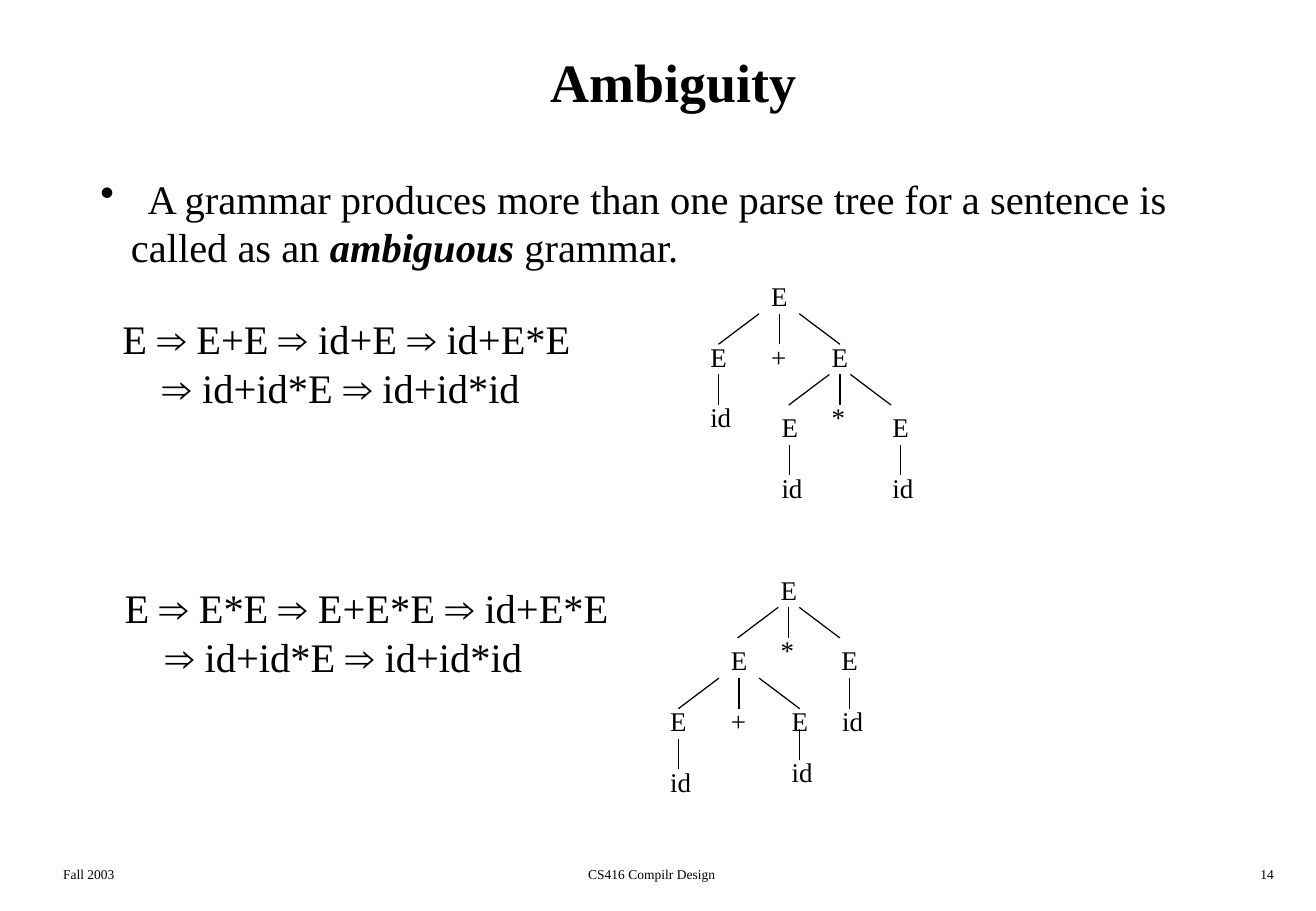
from dataclasses import dataclass
from itertools import groupby
from typing import Any, Sequence

from lxml.etree import SubElement
from pptx import Presentation
from pptx.dml.color import RGBColor
from pptx.enum.shapes import MSO_CONNECTOR
from pptx.enum.text import MSO_ANCHOR, MSO_AUTO_SIZE, PP_ALIGN
from pptx.oxml.ns import qn
from pptx.util import Cm, Pt

STRAIGHT = MSO_CONNECTOR.STRAIGHT
TOP, MIDDLE = MSO_ANCHOR.TOP, MSO_ANCHOR.MIDDLE
NO_FIT, GROW = MSO_AUTO_SIZE.NONE, MSO_AUTO_SIZE.SHAPE_TO_FIT_TEXT
LEFT, CENTER, RIGHT = PP_ALIGN.LEFT, PP_ALIGN.CENTER, PP_ALIGN.RIGHT


@dataclass(frozen=True)
class Theme:
    """Colours, fonts and sizes of the slide."""
    ink: RGBColor = RGBColor(0, 0, 0)
    paper: RGBColor = RGBColor(255, 255, 255)
    serif: str = "Times New Roman"
    arrow_font: str = "Arial"
    title: float = 32
    body: float = 24
    node: float = 16
    footer: float = 8
    edge: float = 0.75


@dataclass(frozen=True)
class Span:
    """A stretch of text in one style."""
    text: str
    font: str = "Times New Roman"
    strong: bool = False


@dataclass(frozen=True)
class Line:
    """A paragraph with its indent in centimetres."""
    spans: Sequence[Span]
    indent: float = 0
    bullet: str = ""


@dataclass(frozen=True)
class Node:
    """A parse tree symbol; reach is the half-width of its fork, 0 a lone stem."""
    label: str
    left: float
    top: float
    reach: float | None = None
    drop: float = 0.84


@dataclass(frozen=True)
class Derivation:
    """The two lines of a leftmost derivation and its place."""
    left: float
    top: float
    width: float
    first: str
    second: str


@dataclass(frozen=True)
class Footer:
    """A footer field."""
    text: str
    left: float
    width: float
    align: PP_ALIGN


THEME = Theme()
NARROW, WIDE = 1.07, 1.27
EDGE_HEIGHT, EDGE_RUN, HALF_NODE = 0.64, 0.85, 0.42
LABEL_WIDTHS = {"E": 0.84, "+": 0.81, "*": 0.79, "id": 0.94}

DEFINITION = (
    Line((Span("A grammar produces more than one parse tree for a sentence is"),), 0.99, "•"),
    Line((Span("called as an "), Span("ambiguous", strong=True), Span(" grammar.")), 0.64),
)
DERIVATIONS = (
    Derivation(2.31, 6.45, 10.29, "E ⇒ E+E ⇒ id+E ⇒ id+E*E", "⇒ id+id*E ⇒ id+id*id"),
    Derivation(2.36, 12.07, 11.02, "E ⇒ E*E ⇒ E+E*E ⇒ id+E*E", "⇒ id+id*E ⇒ id+id*id"),
)
SUM_TREE = (
    Node("E", 15.88, 5.72, WIDE),
    Node("E", 14.61, 6.99, 0), Node("+", 15.88, 6.99), Node("E", 17.15, 6.99, NARROW),
    Node("id", 14.61, 8.26), Node("E", 16.1, 8.46, 0),
    Node("*", 17.15, 8.26), Node("E", 18.42, 8.46, 0),
    Node("id", 16.1, 9.73), Node("id", 18.42, 9.73),
)
PRODUCT_TREE = (
    Node("E", 16.08, 11.86, NARROW),
    Node("E", 15.04, 13.34, WIDE), Node("*", 16.08, 13.13), Node("E", 17.35, 13.34, 0),
    Node("E", 13.77, 14.61, 0), Node("+", 15.04, 14.61),
    Node("E", 16.31, 14.61, 0, 0.64), Node("id", 17.37, 14.61),
    Node("id", 13.77, 15.88), Node("id", 16.31, 15.67),
)
FOOTERS = (
    Footer("Fall 2003", 1.07, 5.74, LEFT),
    Footer("CS416 Compilr Design", 8.48, 10.31, CENTER),
    Footer("14", 21.16, 5.74, RIGHT),
)


def add_text(shapes: Any, lines: Sequence[Line], left: float, top: float, width: float,
             height: float, *, size: float, bold: bool = False, align: PP_ALIGN = LEFT,
             anchor: MSO_ANCHOR = TOP, wrap: bool = True, fit: MSO_AUTO_SIZE = NO_FIT) -> None:
    """Add a text box with one paragraph per line."""
    frame = shapes.add_textbox(Cm(left), Cm(top), Cm(width), Cm(height)).text_frame
    frame.word_wrap, frame.auto_size, frame.vertical_anchor = wrap, fit, anchor
    for index, line in enumerate(lines):
        paragraph = frame.add_paragraph() if index else frame.paragraphs[0]
        paragraph.alignment = align
        properties = paragraph._p.get_or_add_pPr()
        if line.indent:
            properties.set("marL", str(Cm(line.indent)))
            properties.set("indent", str(-Cm(line.indent) if line.bullet else 0))
        if line.bullet:
            SubElement(properties, qn("a:buChar")).set("char", line.bullet)
        for span in line.spans:
            run = paragraph.add_run()
            run.text = span.text
            run.font.name, run.font.size = span.font, Pt(size)
            run.font.bold, run.font.italic = bold or span.strong, span.strong
            run.font.color.rgb = THEME.ink


def derivation_line(text: str, indent: float = 0) -> Line:
    """Set the derivation arrows in their own font."""
    groups = groupby(text, key=lambda symbol: symbol == "⇒")
    return Line([Span("".join(symbols), THEME.arrow_font if arrow else THEME.serif)
                 for arrow, symbols in groups], indent)


def add_edge(shapes: Any, start: float, top: float, end: float) -> None:
    """Draw one tree edge down to the next level."""
    edge = shapes.add_connector(STRAIGHT, Cm(start), Cm(top), Cm(end), Cm(top + EDGE_HEIGHT))
    edge.line.color.rgb = THEME.ink
    edge.line.width = Pt(THEME.edge)
    SubElement(edge._element.spPr, qn("a:effectLst"))


def add_tree(slide: Any, nodes: Sequence[Node]) -> None:
    """Draw a parse tree as one group."""
    shapes = slide.shapes.add_group_shape().shapes
    for node in nodes:
        add_text(shapes, [Line([Span(node.label)])], node.left, node.top,
                 LABEL_WIDTHS[node.label], 0.94, size=THEME.node, wrap=False, fit=GROW)
        if node.reach is None:
            continue
        centre = node.left + HALF_NODE
        for side in (-1, 0, 1) if node.reach else (0,):
            add_edge(shapes, centre + side * (node.reach - EDGE_RUN),
                     node.top + node.drop, centre + side * node.reach)


def main() -> None:
    """Build the ambiguity slide."""
    deck = Presentation()
    deck.slide_width, deck.slide_height = Cm(27.53), Cm(19.05)
    slide = deck.slides.add_slide(deck.slide_layouts[6])
    slide.background.fill.solid()
    slide.background.fill.fore_color.rgb = THEME.paper
    add_text(slide.shapes, [Line([Span("Ambiguity")])], 1.07, 0.43, 26.04, 2.54,
             size=THEME.title, bold=True, align=CENTER, anchor=MIDDLE)
    add_text(slide.shapes, DEFINITION, 1.85, 3.51, 23.1, 2.29, size=THEME.body, fit=GROW)
    for item in DERIVATIONS:
        lines = derivation_line(item.first), derivation_line(item.second, 0.85)
        add_text(slide.shapes, lines, item.left, item.top, item.width, 2.29,
                 size=THEME.body, fit=GROW)
    for tree in (SUM_TREE, PRODUCT_TREE):
        add_tree(slide, tree)
    for field in FOOTERS:
        add_text(slide.shapes, [Line([Span(field.text)])], field.left, 17.98, field.width,
                 0.64, size=THEME.footer, align=field.align)
    deck.save("out.pptx")


if __name__ == "__main__":
    main()
